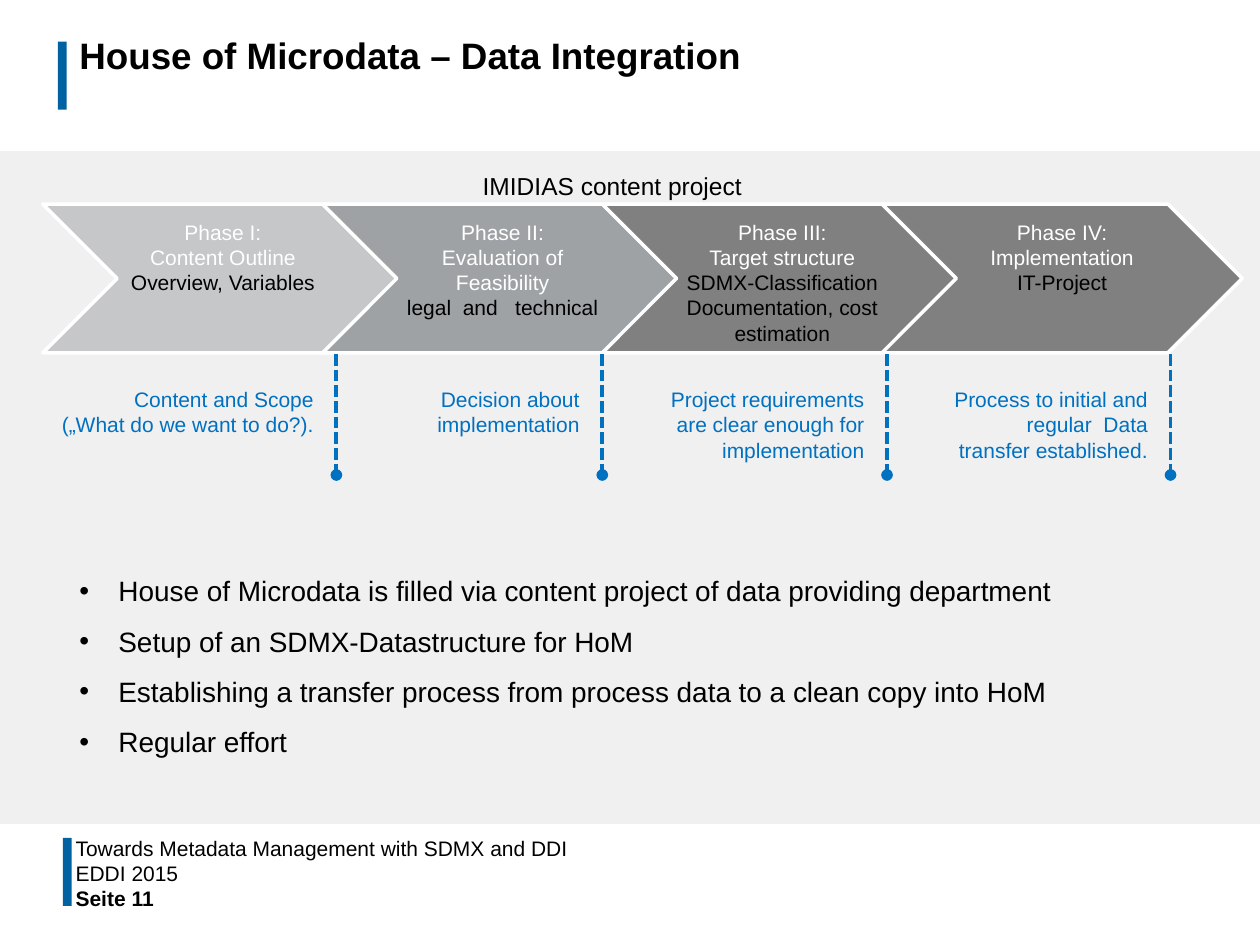
from lxml import etree
from pptx import Presentation
from pptx.dml.color import RGBColor
from pptx.enum.dml import MSO_LINE
from pptx.enum.shapes import MSO_CONNECTOR, MSO_SHAPE
from pptx.enum.text import MSO_ANCHOR, MSO_AUTO_SIZE, PP_ALIGN
from pptx.oxml.ns import qn
from pptx.util import Inches, Pt

RECT, CHEVRON = MSO_SHAPE.RECTANGLE, MSO_SHAPE.CHEVRON
STRAIGHT, DASH = MSO_CONNECTOR.STRAIGHT, MSO_LINE.SQUARE_DOT
TOP, MIDDLE = MSO_ANCHOR.TOP, MSO_ANCHOR.MIDDLE
LEFT, CENTER, RIGHT = PP_ALIGN.LEFT, PP_ALIGN.CENTER, PP_ALIGN.RIGHT
NO_FIT = MSO_AUTO_SIZE.NONE
BLACK, WHITE, BLUE, BAR = "000000", "FFFFFF", "0070C0", "0062A1"

TITLE = "House of Microdata – Data Integration"
PROJECT = "IMIDIAS content project"
PANELS = [(0, 1.2, 10, 5.34, "F0F0F0"), (0.46, 0.33, 0.07, 0.54, BAR),
          (0.5, 6.65, 0.07, 0.54, BAR)]
PHASES = [
    ("C5C7C8", ["Phase I:", "Content Outline"], ["Overview, Variables"]),
    ("9FA2A4", ["Phase II:", "Evaluation of Feasibility"],
     ["legal  and   technical"]),
    ("808080", ["Phase III:", "Target structure"],
     ["SDMX-Classification", "Documentation, cost estimation"]),
    ("808080", ["Phase IV:", "Implementation"], ["IT-Project"]),
]
MILESTONES = [
    (2.67, 2.38, ["Content and Scope", "(„What do we want to do?)."]),
    (4.78, 1.74, ["Decision about implementation"]),
    (7.04, 1.74, ["Project requirements are clear enough for implementation"]),
    (9.29, 1.74, ["Process to initial and regular  Data transfer established."]),
]
BULLETS = [
    "House of Microdata is filled via content project of data providing department",
    "Setup of an SDMX-Datastructure for HoM",
    "Establishing a transfer process from process data to a clean copy into HoM",
    "Regular effort",
]
FOOTER = [("Towards Metadata Management with SDMX and DDI", False),
          ("EDDI 2015", False), ("Seite 11", True)]


def rgb(value):
    """Turn a hex string into a colour."""
    return RGBColor.from_string(value)


def place(sp, x, y, w, h):
    """Move and size a shape in inches."""
    for name, value in dict(left=x, top=y, width=w, height=h).items():
        setattr(sp, name, Inches(value))


def write(sp, lines, size, align=LEFT, bold=False, anchor=TOP,
          insets=(0.1, 0.05, 0.1, 0.05), spacing=None):
    """Fill a shape with (text, colour) paragraphs."""
    tf = sp.text_frame
    frame = dict(word_wrap=True, auto_size=NO_FIT, vertical_anchor=anchor)
    sides = ("margin_left", "margin_top", "margin_right", "margin_bottom")
    frame.update(zip(sides, map(Inches, insets)))
    for name, value in frame.items():
        setattr(tf, name, value)
    for i, (text, color) in enumerate(lines):
        p = tf.add_paragraph() if i else tf.paragraphs[0]
        para = dict(alignment=align, space_before=Pt(0), line_spacing=spacing)
        for name, value in para.items():
            setattr(p, name, value)
        r = p.add_run()
        r.text = text
        for name, value in dict(name="Arial", size=Pt(size), bold=bold).items():
            setattr(r.font, name, value)
        r.font.color.rgb = rgb(color)


def add_box(s, x, y, w, h, *args, **kwargs):
    """Add a text box and write in it."""
    sp = s.shapes.add_textbox(0, 0, 0, 0)
    place(sp, x, y, w, h)
    write(sp, *args, **kwargs)


def add_filled(s, kind, x, y, w, h, fill, line=None):
    """Add a flat preset shape."""
    sp = s.shapes.add_shape(kind, 0, 0, 0, 0)
    place(sp, x, y, w, h)
    sp.shadow.inherit = False
    sp.fill.solid()
    sp.fill.fore_color.rgb = rgb(fill)
    if line:
        sp.line.color.rgb = rgb(line)
        sp.line.width = Pt(2)
    else:
        sp.line.fill.background()
    return sp


def add_milestone(s, x):
    """Add a dashed line that ends in a dot."""
    cx = s.shapes.add_connector(STRAIGHT, Inches(x), Inches(2.81),
                                Inches(x), Inches(3.77))
    cx.line.color.rgb = rgb(BLUE)
    cx.line.width = Pt(2.25)
    cx.line.dash_style = DASH
    etree.SubElement(cx.line._get_or_add_ln(), qn("a:tailEnd"), type="oval")
    etree.SubElement(cx._element.spPr, qn("a:effectLst"))


def add_bullets(sp):
    """Give each paragraph a round bullet and a hanging indent."""
    indent = Inches(0.31)
    for p in sp.text_frame.paragraphs:
        pPr = p._p.get_or_add_pPr()
        pPr.set("marL", str(indent))
        pPr.set("indent", str(-indent))
        etree.SubElement(pPr, qn("a:buFont"), typeface="Arial")
        etree.SubElement(pPr, qn("a:buChar"), char="•")


def main():
    """Build the slide."""
    prs = Presentation()
    prs.slide_width, prs.slide_height = Inches(10), Inches(7.5)
    s = prs.slides.add_slide(prs.slide_layouts[1])
    title, body = s.placeholders

    for *box, fill in PANELS:
        add_filled(s, RECT, *box, fill)
    place(title, 0.53, 0.26, 8.87, 0.71)
    write(title, [(TITLE, BLACK)], 21, bold=True, spacing=Pt(21.4))
    add_box(s, 0.1, 1.28, 9.52, 0.39, [(PROJECT, BLACK)], 14, CENTER,
            anchor=MIDDLE)

    for i, (fill, heads, details) in enumerate(PHASES):
        sp = add_filled(s, CHEVRON, 0.34 + 2.22 * i, 1.62, 2.86, 1.18, fill, WHITE)
        lines = [(t, WHITE) for t in heads] + [(t, BLACK) for t in details]
        write(sp, lines, 12, CENTER, insets=(0, 0.12, 0, 0.05))

    for x, width, texts in MILESTONES:
        add_milestone(s, x)
        add_box(s, x - 0.08 - width, 3.02, width, 0.71,
                [(t, BLUE) for t in texts], 12, RIGHT)

    place(body, 0.53, 4.37, 8.9, 1.72)
    write(body, [(t, BLACK) for t in BULLETS], 16, spacing=1.5)
    add_bullets(body)

    for i, (text, bold) in enumerate(FOOTER):
        add_box(s, 0.51, 6.64 + 0.2 * i, 8.88, 0.18, [(text, BLACK)], 12,
                bold=bold, anchor=MIDDLE, insets=(0.09, 0.04, 0.09, 0.04))

    shapes = s.shapes._spTree
    for sp in (title, body):
        shapes.append(sp._element)
    prs.save("out.pptx")


if __name__ == "__main__":
    main()
